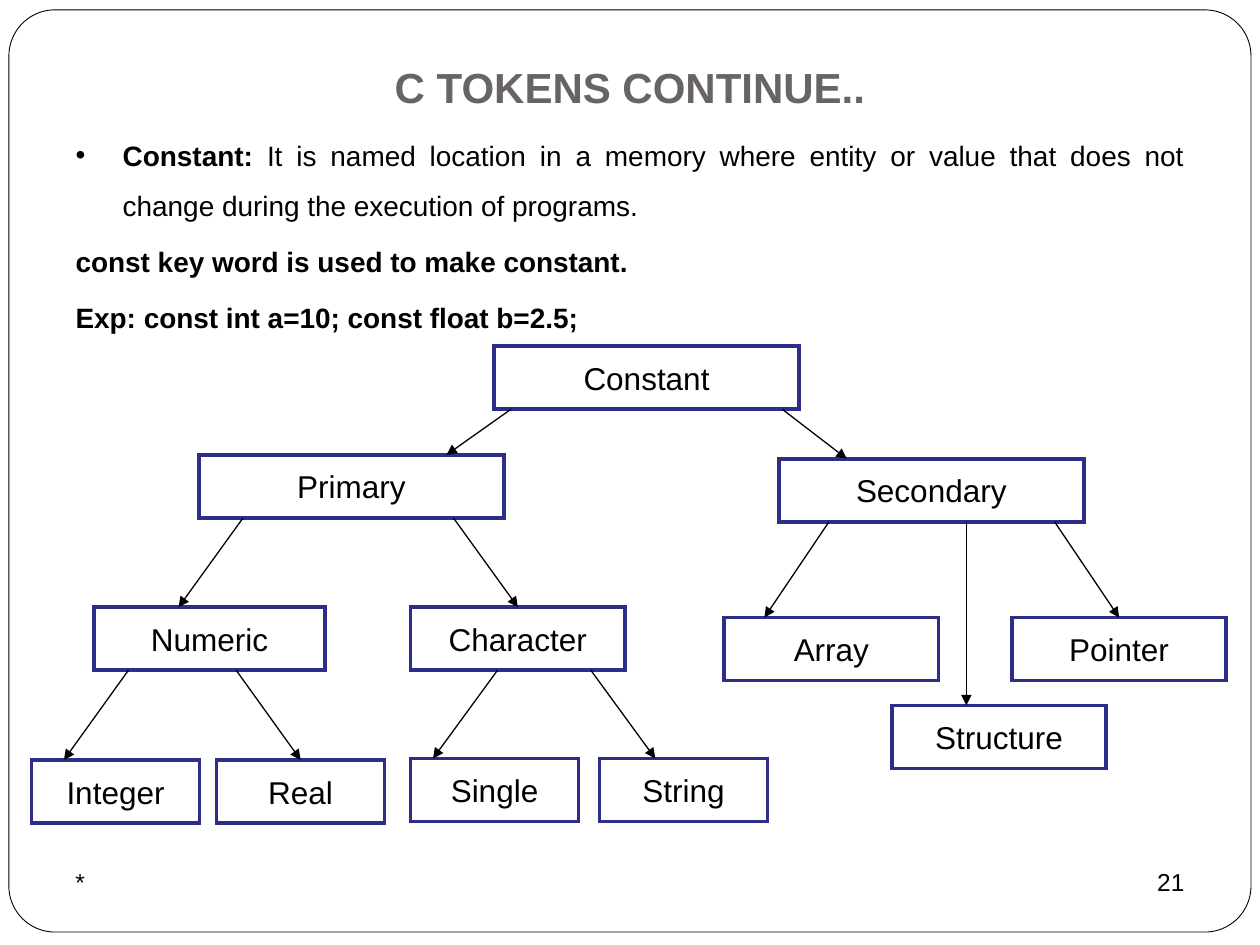
from lxml import etree
from pptx import Presentation
from pptx.dml.color import RGBColor
from pptx.enum.shapes import MSO_CONNECTOR, MSO_SHAPE
from pptx.enum.text import MSO_ANCHOR, MSO_AUTO_SIZE, PP_ALIGN
from pptx.oxml.ns import qn
from pptx.util import Cm, Pt

LEFT, CENTER, RIGHT, JUSTIFY = PP_ALIGN.LEFT, PP_ALIGN.CENTER, PP_ALIGN.RIGHT, PP_ALIGN.JUSTIFY
TOP, MIDDLE = MSO_ANCHOR.TOP, MSO_ANCHOR.MIDDLE

COLORS = {"paper": "FFFFFF", "ink": "000000", "title": "696464", "border": "2D2D8A"}
FONT = "Arial"

TITLE = "C TOKENS CONTINUE.."
# Each paragraph is a list of (text, bold) pieces
EXPLANATION = [
    [("Constant:", True),
     (" It is named location in a memory where entity or value that does not "
      "change during the execution of programs.", False)],
    [("const key word is used to make constant.", True)],
    [("Exp: const int a=10; const float b=2.5; ", True)],
]
FOOTERS = [("*", 1.27, LEFT), ("21", 18.21, RIGHT)]

# Rows of the tree, in cm: top, box width, [(label, left)]
BOX_HEIGHT = 1.27
TREE_ROWS = [
    (6.98, 6.15, [("Constant", 9.96)]),
    (9.17, 6.15, [("Primary", 4.01)]),
    (9.25, 6.15, [("Secondary", 15.7)]),
    (12.24, 4.65, [("Numeric", 1.9)]),
    (12.24, 4.32, [("Character", 8.28)]),
    (12.45, 4.32, [("Array", 14.6), ("Pointer", 20.4)]),
    (14.22, 4.32, [("Structure", 17.98)]),
    (15.32, 3.38, [("Integer", 0.64), ("Real", 4.37)]),
    (15.29, 3.38, [("Single", 8.28), ("String", 12.09)]),
]

# Arrows: parent, child, x on the parent's bottom edge, sideways direction
ARROW_SHIFT = 1.3
ARROWS = [
    ("Constant", "Primary", 10.3, -1),
    ("Constant", "Secondary", 15.77, 1),
    ("Primary", "Numeric", 4.9, -1),
    ("Primary", "Character", 9.14, 1),
    ("Secondary", "Array", 16.71, -1),
    ("Secondary", "Structure", 19.48, 0),
    ("Secondary", "Pointer", 21.26, 1),
    ("Numeric", "Integer", 2.59, -1),
    ("Numeric", "Real", 4.76, 1),
    ("Character", "Single", 10.03, -1),
    ("Character", "String", 11.91, 1),
]


def rgb(name):
    return RGBColor.from_string(COLORS[name])


def write(shape, paragraphs, size, color="ink", align=CENTER, anchor=MIDDLE, **spacing):
    """Fill a shape with paragraphs of (text, bold) pieces; spacing sets paragraph attributes."""
    frame = shape.text_frame
    frame.word_wrap = True
    frame.auto_size = MSO_AUTO_SIZE.NONE
    frame.vertical_anchor = anchor
    for index, pieces in enumerate(paragraphs):
        paragraph = frame.add_paragraph() if index else frame.paragraphs[0]
        paragraph.alignment = align
        for attribute, value in spacing.items():
            setattr(paragraph, attribute, value)
        for text, bold in pieces:
            run = paragraph.add_run()
            run.text = text
            run.font.name, run.font.size, run.font.bold = FONT, Pt(size), bold
            run.font.color.rgb = rgb(color)


def place(shape, left, top, width, height):
    shape.left, shape.top, shape.width, shape.height = map(Cm, (left, top, width, height))


def add_panel(slide, preset, bounds, line_color, line_width):
    panel = slide.shapes.add_shape(preset, *map(Cm, bounds))
    panel.shadow.inherit = False
    panel.fill.solid()
    panel.fill.fore_color.rgb = rgb("paper")
    panel.line.color.rgb = rgb(line_color)
    panel.line.width = Pt(line_width)
    etree.SubElement(panel.line._get_or_add_ln(), qn("a:miter"), lim="800000")
    return panel


def add_arrow(slide, start, end):
    arrow = slide.shapes.add_connector(MSO_CONNECTOR.STRAIGHT, *map(Cm, start + end))
    arrow.line.color.rgb = rgb("ink")
    arrow.line.width = Pt(0.75)
    etree.SubElement(arrow.line._get_or_add_ln(), qn("a:tailEnd"), type="triangle")
    etree.SubElement(arrow._element.spPr, qn("a:effectLst"))


def set_hanging_bullet(paragraph, bullet=None):
    properties = paragraph._p.get_or_add_pPr()
    properties.set("marL", str(Cm(0.95)))
    properties.set("indent", str(-Cm(0.95)))
    if bullet:
        color = etree.SubElement(properties, qn("a:buClr"))
        etree.SubElement(color, qn("a:srgbClr"), val=COLORS["ink"])
        etree.SubElement(properties, qn("a:buFont"), typeface=FONT)
        etree.SubElement(properties, qn("a:buChar"), char=bullet)
    else:
        etree.SubElement(properties, qn("a:buNone"))


def main():
    deck = Presentation()
    deck.slide_width, deck.slide_height = Cm(25.4), Cm(19.05)
    slide = deck.slides.add_slide(deck.slide_layouts[1])

    border = add_panel(slide, MSO_SHAPE.ROUNDED_RECTANGLE, (0.18, 0.2, 25.04, 18.59), "ink", 0.5)
    border.adjustments[0] = 0.05
    slide.shapes._spTree.insert(2, border._element)  # behind the placeholders

    title, body = slide.shapes.title, slide.placeholders[1]
    place(title, 1.27, 0.76, 22.86, 1.98)
    write(title, [[(TITLE, True)]], 24, color="title")

    place(body, 1.27, 2.32, 22.86, 14.68)
    write(body, EXPLANATION, 16, align=JUSTIFY, anchor=TOP, line_spacing=1.5, space_before=Pt(3.2))
    first, *others = body.text_frame.paragraphs
    first.space_before = Pt(0)
    set_hanging_bullet(first, "•")
    for paragraph in others:
        set_hanging_bullet(paragraph)

    for text, left, align in FOOTERS:
        footer = slide.shapes.add_textbox(Cm(left), Cm(17.35), Cm(5.92), Cm(1.32))
        write(footer, [[(text, False)]], 14, align=align, anchor=TOP)

    node_tops = {}
    for top, width, nodes in TREE_ROWS:
        for label, left in nodes:
            node = add_panel(slide, MSO_SHAPE.RECTANGLE, (left, top, width, BOX_HEIGHT), "border", 2)
            write(node, [[(label, False)]], 18)
            node_tops[label] = top

    for parent, child, x, direction in ARROWS:
        start = (x, node_tops[parent] + BOX_HEIGHT)
        end = (x + direction * ARROW_SHIFT, node_tops[child])
        add_arrow(slide, start, end)

    deck.save("out.pptx")


if __name__ == "__main__":
    main()
